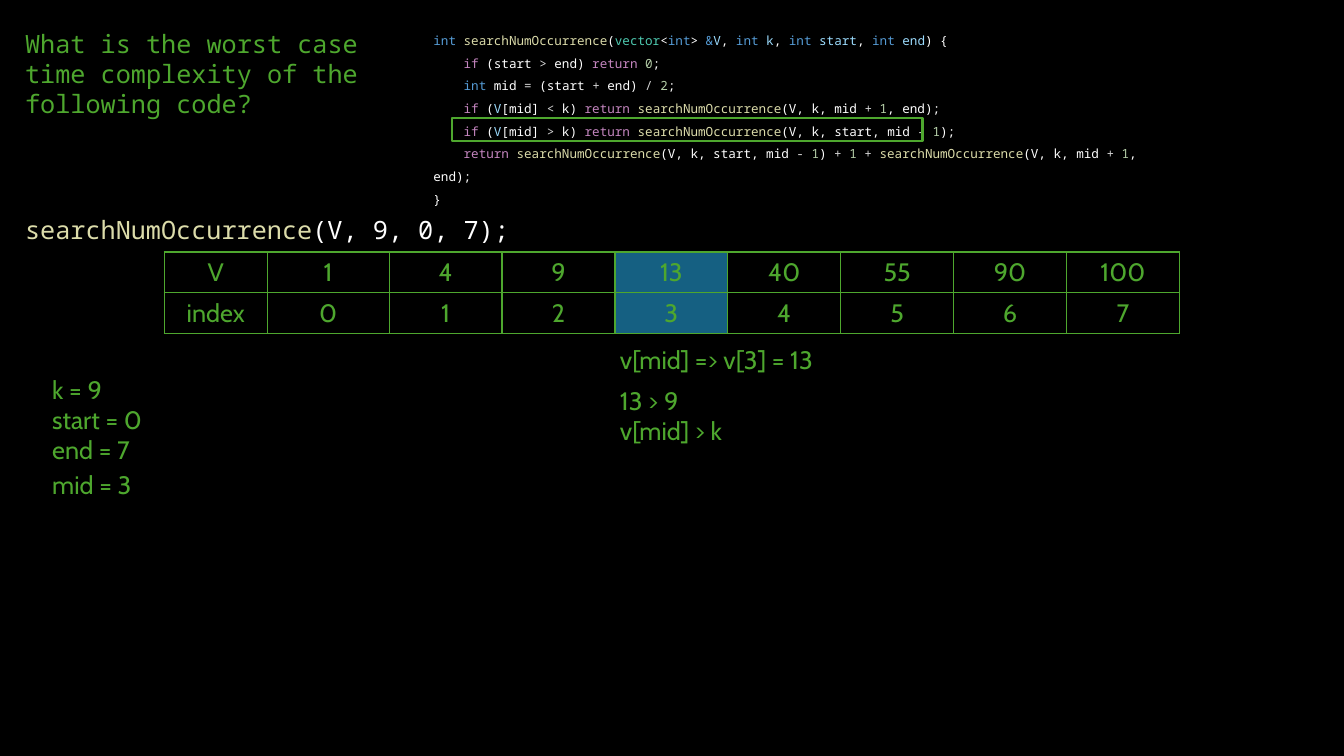
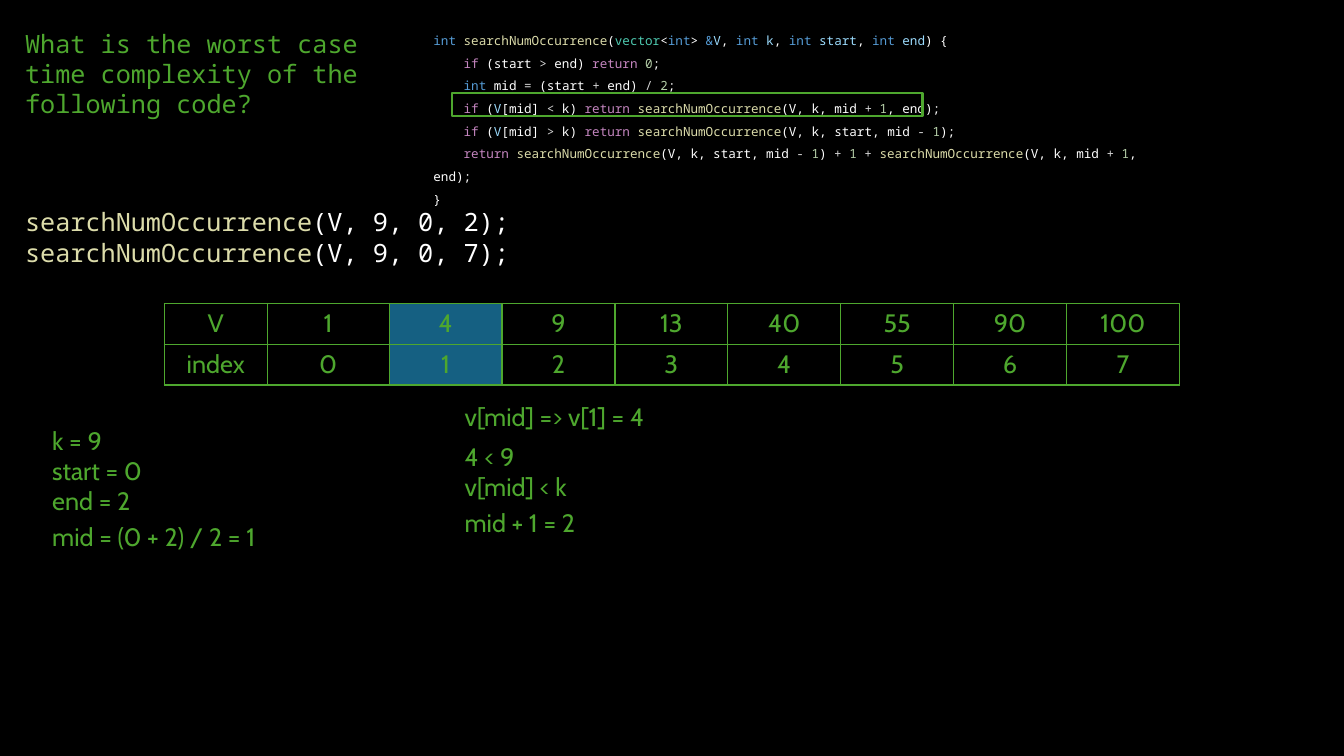
from lxml.etree import SubElement as Sub
from pptx import Presentation as Deck
from pptx.dml.color import RGBColor as RGB
from pptx.enum.shapes import MSO_SHAPE as Kind
from pptx.enum.text import MSO_AUTO_SIZE as Fit, PP_ALIGN as Align
from pptx.oxml.ns import qn
from pptx.util import Pt

PX = 9144  # EMU in one px, 100 px to the inch
COLORS = {
    "back": "000000", "green": "4EA72E", "mark": "156082", "white": "FFFFFF",
    "type": "569CD6", "func": "DCDCAA", "class": "4EC9B0", "name": "9CDCFE",
    "flow": "C586C0", "sign": "D4D4D4", "num": "B5CEA8",
}
MONO, SANS = "Noto Sans Mono", "Cabin"
INDENT = 30

# Code listing: (indent level, runs)
FUNC = ("searchNumOccurrence", "func")
RETURN = ("return ", "flow")
COMMA = (", ", "white")
INT = ("int ", "type")
ONE = ("1", "num")
PLUS = ("+ ", "sign")
MINUS = ("- ", "sign")
LEFT = [FUNC, ("(V, k, start, mid ", "white"), MINUS, ONE]
RIGHT = [FUNC, ("(V, k, mid ", "white"), PLUS, ONE, (", end);", "white")]


def test(sign):
    return [("if", "flow"), (" (", "white"), ("V", "name"), ("[mid] ", "white"),
            (sign, "sign"), (" k) ", "white"), RETURN]


CODE = [
    (0, [INT, FUNC, ("(", "white"), ("vector", "class"), ("<", "white"),
         ("int", "type"), ("> ", "white"), ("&", "type"), ("V", "name"),
         COMMA, INT, ("k", "name"), COMMA, INT, ("start", "name"),
         COMMA, INT, ("end", "name"), (") {", "white")]),
    (1, [("if", "flow"), (" (start ", "white"), (">", "sign"),
         (" end) ", "white"), RETURN, ("0", "num"), (";", "white")]),
    (1, [("int", "type"), (" mid ", "white"), ("=", "sign"),
         (" (start ", "white"), ("+", "sign"), (" end) ", "white"),
         ("/ ", "sign"), ("2", "num"), (";", "white")]),
    (1, test("<") + RIGHT),
    (1, test(">") + LEFT + [(");", "white")]),
    (1, [RETURN] + LEFT + [(") ", "white"), PLUS, ("1 ", "num"), PLUS] + RIGHT),
    (0, [("}", "white")]),
]

VALUES = [1, 4, 9, 13, 40, 55, 90, 100]
ROWS = [["V", *VALUES], ["index", *range(len(VALUES))]]
WIDTHS = [102, 121] + [112] * 7


class Board:
    def __init__(self):
        self.deck = Deck()
        self.deck.slide_width, self.deck.slide_height = 1333 * PX, 750 * PX

    def color(self, key):
        return RGB.from_string(COLORS[key])

    def page(self):
        self.slide = self.deck.slides.add_slide(self.deck.slide_layouts[6])
        fill = self.slide.background.fill
        fill.solid()
        fill.fore_color.rgb = self.color("back")

    def run(self, para, text, key="green", face=SANS, size=18):
        run = para.add_run()
        run.text = text
        run.font.name, run.font.size = face, Pt(size)
        run.font.color.rgb = self.color(key)

    def box(self, x, y, w, h, lines, face=SANS, size=18, space=None):
        """Each line is an (indent level, runs) pair."""
        shape = self.slide.shapes.add_textbox(x * PX, y * PX, w * PX, h * PX)
        frame = shape.text_frame
        frame.word_wrap = True
        frame.auto_size = Fit.SHAPE_TO_FIT_TEXT
        for i, (level, runs) in enumerate(lines):
            para = frame.add_paragraph() if i else frame.paragraphs[0]
            if space:
                para.line_spacing = space
            if level:
                para._p.get_or_add_pPr().set("indent", str(level * INDENT * PX))
            for text, key in runs:
                self.run(para, text, key, face, size)

    def note(self, x, y, *lines):
        self.box(x, y, 240, 10 + 30 * len(lines),
                 [(0, [(line, "green")]) for line in lines])

    def call(self, y, args):
        self.box(15, y, 667, 51, [(0, [FUNC, (args, "white")])], MONO, space=1.5)

    def edge(self, cell):
        props = cell._tc.get_or_add_tcPr()
        for side in ("lnL", "lnR", "lnT", "lnB"):
            line = Sub(props, qn("a:" + side), w=str(Pt(1)))
            solid = Sub(line, qn("a:solidFill"))
            Sub(solid, qn("a:srgbClr"), val=COLORS["green"])

    def grid(self, x, y, mid):
        table = self.slide.shapes.add_table(
            len(ROWS), len(WIDTHS), x * PX, y * PX, sum(WIDTHS) * PX, 81 * PX).table
        table.first_row = table.horz_banding = False
        for col, width in zip(table.columns, WIDTHS):
            col.width = width * PX
        for r, row in enumerate(ROWS):
            for c, value in enumerate(row):
                cell = table.cell(r, c)
                self.edge(cell)
                if c == mid + 1:
                    cell.fill.solid()
                    cell.fill.fore_color.rgb = self.color("mark")
                else:
                    cell.fill.background()
                para = cell.text_frame.paragraphs[0]
                para.alignment = Align.CENTER
                self.run(para, str(value))

    def frame(self, x, y, w, h):
        rect = self.slide.shapes.add_shape(
            Kind.RECTANGLE, x * PX, y * PX, w * PX, h * PX)
        rect.shadow.inherit = False
        rect.fill.background()
        rect.line.color.rgb = self.color("green")
        rect.line.width = Pt(1.5)

    def step(self, top, mid, calls, state, found, focus):
        """One step of the search, with the table at the given top."""
        self.page()
        # Question and code
        ask = "What is the worst case time complexity of the following code?"
        self.box(15, 23, 405, 101, [(0, [(ask, "green")])], MONO)
        self.box(420, 20, 738, 167, CODE, MONO, 9, 1.5)
        # Call stack
        for y, args in calls:
            self.call(y, args)
        # Array and variables
        self.grid(163, top, mid)
        self.note(42, top + 116, *state[:-1])
        self.note(42, top + 211, state[-1])
        # Comparison at the middle, and the branch taken
        x, y = found[:2]
        for gap, lines in zip((0, 40, 105), found[2:]):
            self.note(x, y + gap, *lines)
        self.frame(448, focus, 467, 23)


def main():
    board = Board()
    board.step(250, 3, [(193, "(V, 9, 0, 7);")],
               ["k = 9", "start = 0", "end = 7", "mid = 3"],
               [605, 337, ["v[mid] => v[3] = 13"], ["13 > 9", "v[mid] > k"]], 117)
    board.step(301, 1, [(185, "(V, 9, 0, 2);"), (215, "(V, 9, 0, 7);")],
               ["k = 9", "start = 0", "end = 2", "mid = (0 + 2) / 2 = 1"],
               [451, 393, ["v[mid] => v[1] = 4"], ["4 < 9", "v[mid] < k"],
                ["mid + 1 = 2"]], 92)
    board.deck.save("out.pptx")


if __name__ == "__main__":
    main()
